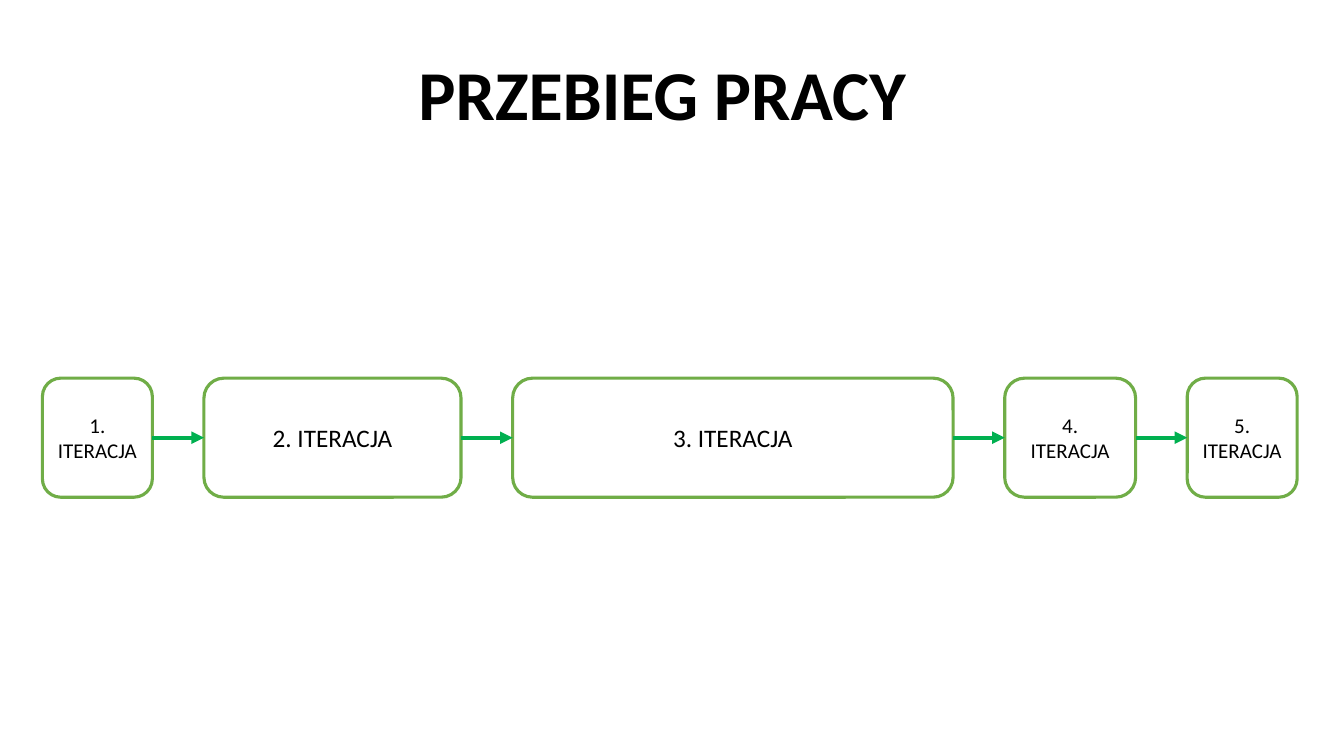
"""Build a slide with five linked iterations of work."""
import dataclasses
import itertools
import typing

import pptx
import pptx.dml.color
import pptx.enum.shapes
import pptx.enum.text
import pptx.oxml
import pptx.oxml.ns
import pptx.util

Cm = pptx.util.Cm
Pt = pptx.util.Pt
HUES = {"text": "000000", "box": "FFFFFF", "edge": "70AD47", "arrow": "00B050"}
LEFT, TOP, TALL, GAP = 1.07, 9.53, 3.0, 1.3


@dataclasses.dataclass
class Step:
    """One iteration box."""
    label: str
    width: float
    size: int


STEPS = [
    Step("1. ITERACJA", 2.77, 15),
    Step("2. ITERACJA", 6.48, 18),
    Step("3. ITERACJA", 11.1, 18),
    Step("4. ITERACJA", 3.3, 15),
    Step("5. ITERACJA", 2.77, 15),
]


def hue(name: str) -> pptx.dml.color.RGBColor:
    """Look up a named colour."""
    return pptx.dml.color.RGBColor.from_string(HUES[name])


def apply(item: typing.Any, values: dict[str, typing.Any]) -> None:
    """Set attributes from format values."""
    for key, value in values.items():
        setattr(item, key, value)


def write(shape: typing.Any, text: str, size: int, bold: bool,
          align: typing.Any, anchor: typing.Any) -> None:
    """Fill a shape with one formatted paragraph."""
    frame = shape.text_frame
    apply(frame, {"text": text, "vertical_anchor": anchor, "word_wrap": True,
                  "auto_size": pptx.enum.text.MSO_AUTO_SIZE.NONE})
    para = frame.paragraphs[0]
    para.alignment = align
    font = para.runs[0].font
    apply(font, {"name": "Calibri", "size": Pt(size), "bold": bold})
    font.color.rgb = hue("text")


def stroke(line: typing.Any, name: str, width: float) -> None:
    """Colour and size a line."""
    line.color.rgb = hue(name)
    line.width = Pt(width)


def box(slide: typing.Any, step: Step, left: float) -> typing.Any:
    """Draw one iteration."""
    shape = slide.shapes.add_shape(
        pptx.enum.shapes.MSO_SHAPE.ROUNDED_RECTANGLE,
        Cm(left), Cm(TOP), Cm(step.width), Cm(TALL))
    shape.shadow.inherit = False
    shape.fill.solid()
    shape.fill.fore_color.rgb = hue("box")
    stroke(shape.line, "edge", 2.25)
    write(shape, step.label, step.size, False,
          pptx.enum.text.PP_ALIGN.CENTER, pptx.enum.text.MSO_ANCHOR.MIDDLE)
    return shape


def arrow(slide: typing.Any, start: typing.Any, end: typing.Any) -> None:
    """Link the right side of one box to the left side of the next."""
    link = slide.shapes.add_connector(
        pptx.enum.shapes.MSO_CONNECTOR.STRAIGHT, 0, 0, 0, 0)
    link.begin_connect(start, 3)
    link.end_connect(end, 1)
    stroke(link.line, "arrow", 3)
    space = pptx.oxml.ns.nsdecls("a")
    link.line._get_or_add_ln().append(
        pptx.oxml.parse_xml(f'<a:tailEnd {space} type="triangle"/>'))
    link._element.spPr.append(pptx.oxml.parse_xml(f"<a:effectLst {space}/>"))


def main() -> None:
    """Build and save the slide."""
    deck = pptx.Presentation()
    apply(deck, {"slide_width": Cm(33.87), "slide_height": Cm(19.05)})
    slide = deck.slides.add_slide(deck.slide_layouts[5])
    title = slide.shapes.title
    apply(title, {"left": Cm(10.29), "top": Cm(1.14),
                  "width": Cm(13.31), "height": Cm(2.39)})
    write(title, "PRZEBIEG PRACY", 50, True,
          pptx.enum.text.PP_ALIGN.LEFT, pptx.enum.text.MSO_ANCHOR.TOP)
    lefts = itertools.accumulate(
        (step.width + GAP for step in STEPS), initial=LEFT)
    boxes = [box(slide, step, left) for step, left in zip(STEPS, lefts)]
    for start, end in itertools.pairwise(boxes):
        arrow(slide, start, end)
    deck.save("out.pptx")


main()
